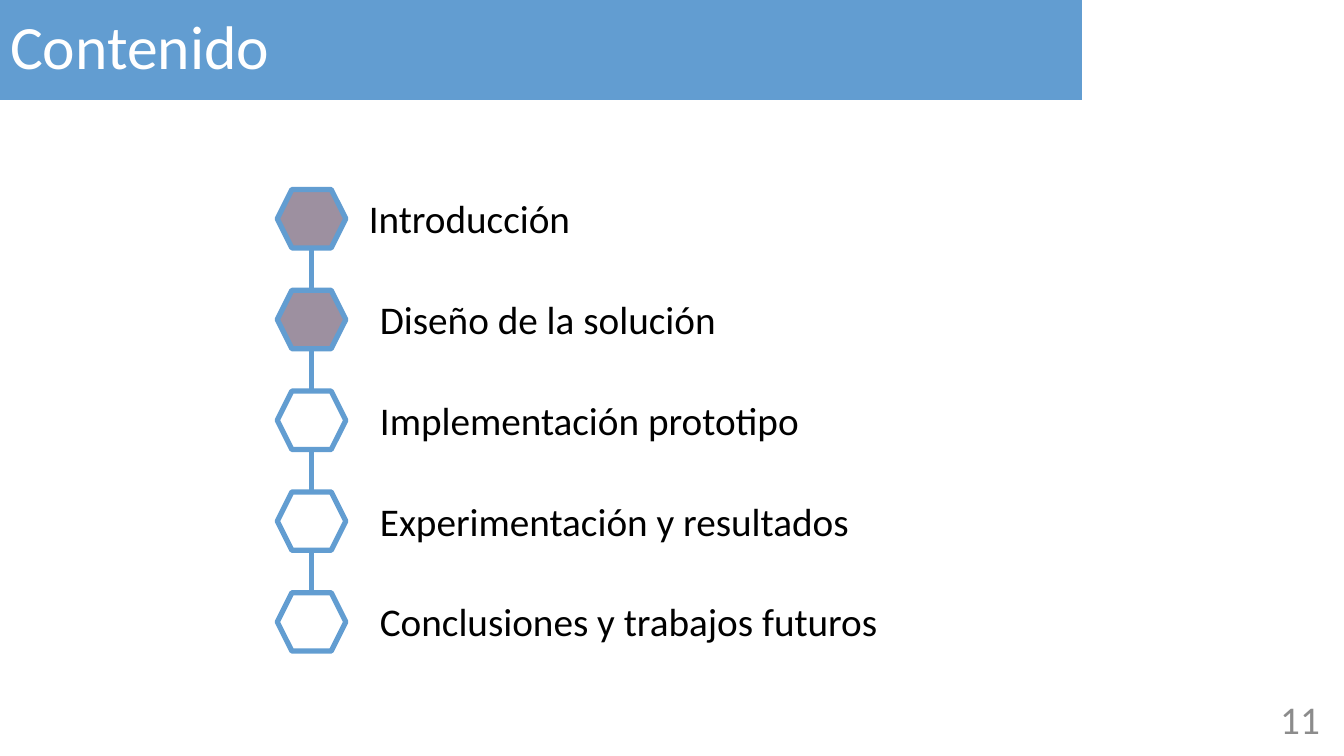
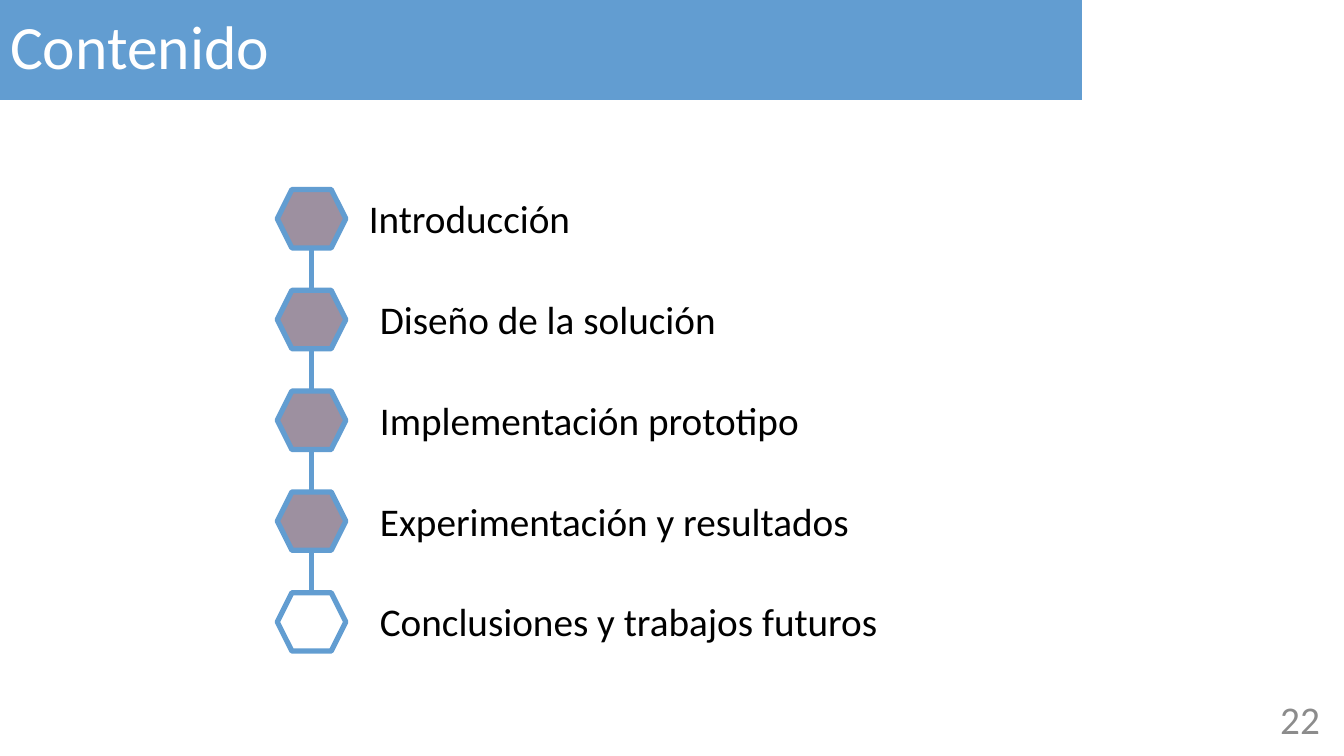
import pptx
import pptx.util
import pptx.dml.color
import pptx.enum.shapes
import pptx.enum.text
import pptx.oxml.ns
import lxml.etree

Inches, Pt = pptx.util.Inches, pptx.util.Pt
SHAPE = pptx.enum.shapes.MSO_SHAPE
ALIGN = pptx.enum.text.PP_ALIGN
ANCHOR = pptx.enum.text.MSO_ANCHOR

COLORS = {"blue": "629DD1", "done": "9D90A0", "pending": "FFFFFF",
          "title": "FFFFFF", "text": "000000", "number": "8C8C8C"}
FONT = "Calibri"
TITLE_SIZE, TEXT_SIZE = 44, 28
LINE_WIDTH = 3.75

SECTIONS = ["Introducción", "Diseño de la solución", "Implementación prototipo",
            "Experimentación y resultados", "Conclusiones y trabajos futuros"]
HEX_W, HEX_H, PITCH = 0.68, 0.58, 1.0
LABEL_W, LABEL_H = 5.5, 0.57
FIRST_LABEL_GAP, LABEL_GAP = 0.13, 0.24


def rgb(name):
    return pptx.dml.color.RGBColor.from_string(COLORS[name])


def set_text(shape, text, size, color, align=ALIGN.LEFT, anchor=ANCHOR.TOP):
    tf = shape.text_frame
    tf.text = text
    tf.word_wrap = True
    tf.auto_size = pptx.enum.text.MSO_AUTO_SIZE.NONE
    tf.vertical_anchor = anchor
    p = tf.paragraphs[0]
    p.alignment = align
    font = p.runs[0].font
    font.name, font.size, font.color.rgb = FONT, Pt(size), rgb(color)
    return p


def add_title(s, text, x, y, w, h):
    title = s.shapes.title
    title.left, title.top, title.width, title.height = map(Inches, (x, y, w, h))
    title.fill.solid()
    title.fill.fore_color.rgb = rgb("blue")
    p = set_text(title, text, TITLE_SIZE, "title", anchor=ANCHOR.MIDDLE)
    p.line_spacing = 0.9


def add_page_number(s, number, x, y, w, h):
    box = s.shapes.add_textbox(*map(Inches, (x, y, w, h)))
    set_text(box, str(number), TEXT_SIZE, "number", ALIGN.RIGHT, ANCHOR.MIDDLE)


def style_line(line):
    line.color.rgb = rgb("blue")
    line.width = Pt(LINE_WIDTH)


def add_link(s, x, y1, y2):
    link = s.shapes.add_connector(pptx.enum.shapes.MSO_CONNECTOR.STRAIGHT,
                                  *map(Inches, (x, y1, x, y2)))
    style_line(link.line)
    lxml.etree.SubElement(link._element.spPr, pptx.oxml.ns.qn("a:effectLst"))


def add_hexagon(s, x, y, color):
    hexagon = s.shapes.add_shape(SHAPE.HEXAGON, *map(Inches, (x, y, HEX_W, HEX_H)))
    hexagon.shadow.inherit = False
    hexagon.fill.solid()
    hexagon.fill.fore_color.rgb = rgb(color)
    style_line(hexagon.line)


def add_progress(s, done, x, y):
    """Chain of section hexagons with labels; the first `done` are filled."""
    for i, section in enumerate(SECTIONS):
        top = y + i * PITCH
        if i < len(SECTIONS) - 1:
            add_link(s, x + HEX_W / 2, top + HEX_H, top + PITCH)
        add_hexagon(s, x, top, "done" if i < done else "pending")
        gap = LABEL_GAP if i else FIRST_LABEL_GAP
        label = s.shapes.add_textbox(
            *map(Inches, (x + HEX_W + gap, top, LABEL_W, LABEL_H)))
        set_text(label, section, TEXT_SIZE, "text")


def add_contents_slide(prs, number, done):
    s = prs.slides.add_slide(prs.slide_layouts.get_by_name("Title Only"))
    add_title(s, "Contenido", 0, 0, 10.73, 0.99)
    add_page_number(s, number, 10.19, 6.93, 3, 0.4)
    add_progress(s, done, 2.75, 1.88)


def main():
    prs = pptx.Presentation()
    prs.slide_width, prs.slide_height = Inches(13.33), Inches(7.5)
    for number, done in ((11, 2), (22, 4)):
        add_contents_slide(prs, number, done)
    prs.save("out.pptx")


if __name__ == "__main__":
    main()
